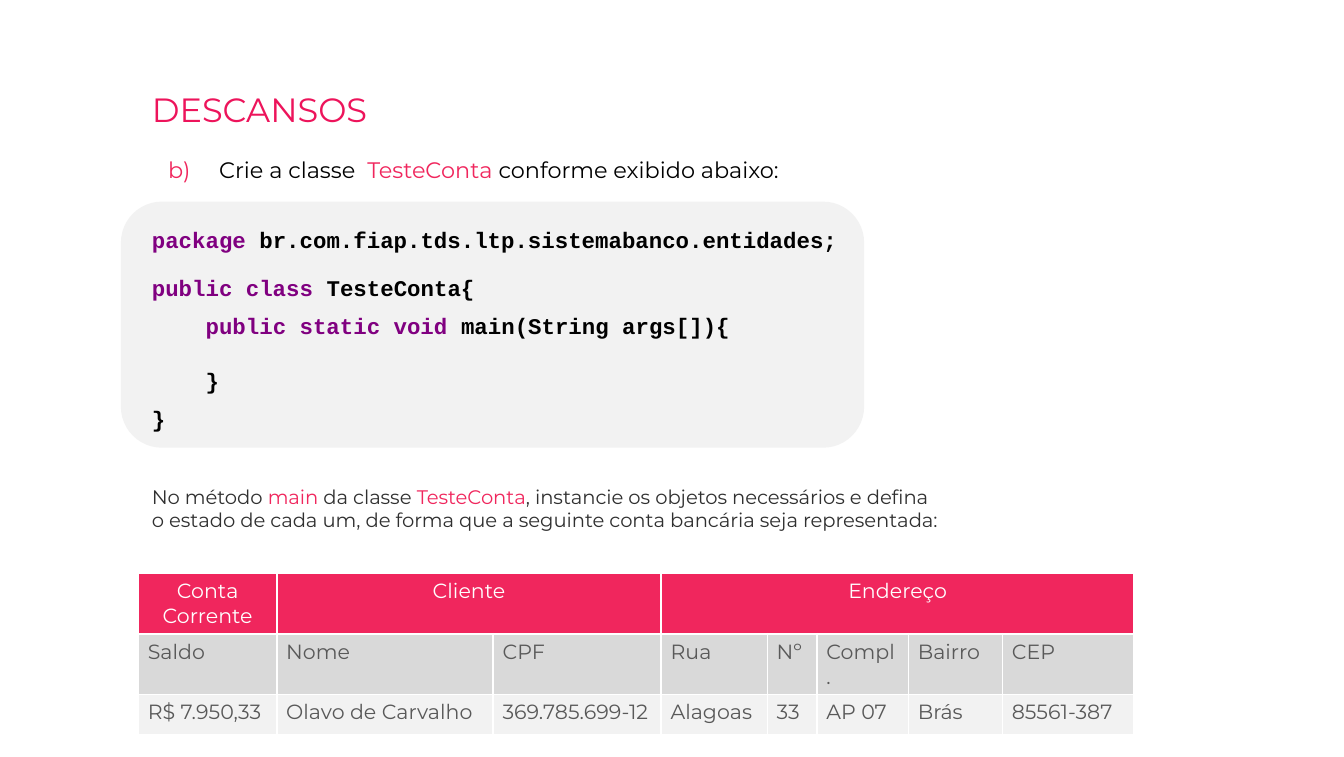
from dataclasses import dataclass
from typing import Optional

from lxml import etree
from pptx import Presentation
from pptx import util as u
from pptx.dml.color import RGBColor
from pptx.enum import shapes, text
from pptx.oxml import ns

HUES = {
    "pink": "F0265D", "title": "ED145B", "white": "FFFFFF", "black": "000000",
    "code": "800080", "body": "303030", "cell": "595959",
    "mid": "D9D9D9", "pale": "F2F2F2",
}
SANS, MONO = "Montserrat", "Courier New"
COLS = [1.03, 1.61, 1.25, 0.79, 0.37, 0.68, 0.7, 0.98]
ROWS = [0.44, 0.44, 0.3]


@dataclass
class Line:
    runs: list[tuple[str, str]]
    gap: float = 0
    font: str = MONO
    size: float = 12
    bold: bool = True
    mark: Optional[int] = None


@dataclass
class Row:
    cells: list[tuple[str, int]]
    fill: str
    ink: str
    align: text.PP_ALIGN = text.PP_ALIGN.LEFT


LINES = [
    Line([("Crie a classe  ", "black"), ("TesteConta ", "pink"),
          ("conforme exibido abaixo:", "black")], font=SANS, bold=False, mark=2),
    Line([("package ", "code"),
          ("br.com.fiap.tds.ltp.sistemabanco.entidades;", "black")], 23),
    Line([("public class ", "code"), ("TesteConta{", "black")], 11.5),
    Line([("    ", "black"), ("public static void ", "code"),
          ("main(String args[]){", "black")], 6),
    Line([("    }", "black")], 15),
    Line([("}", "black")], 6),
    Line([("No método ", "body"), ("main", "pink"), (" da classe ", "body"),
          ("TesteConta", "pink"),
          (", instancie os objetos necessários e defina o estado de cada um, "
           "de forma que a seguinte conta bancária seja representada:", "body")],
         28, SANS, 10.5, False),
]
TABLE = [
    Row([("Conta Corrente", 1), ("Cliente", 2), ("Endereço", 5)],
        "pink", "white", text.PP_ALIGN.CENTER),
    Row([(word, 1) for word in
         ("Saldo", "Nome", "CPF", "Rua", "Nº", "Compl.", "Bairro", "CEP")],
        "mid", "cell"),
    Row([(word, 1) for word in
         ("R$ 7.950,33", "Olavo de Carvalho", "369.785.699-12", "Alagoas",
          "33", "AP 07", "Brás", "85561-387")],
        "pale", "cell"),
]


def rgb(name: str) -> RGBColor:
    return RGBColor.from_string(HUES[name])


def place(shape, left: float, top: float, width: float, height: float) -> None:
    shape.left, shape.top = u.Inches(left), u.Inches(top)
    shape.width, shape.height = u.Inches(width), u.Inches(height)


def frame(shape):
    box = shape.text_frame
    box.word_wrap = True
    box.auto_size = text.MSO_AUTO_SIZE.NONE
    box.vertical_anchor = text.MSO_ANCHOR.TOP
    return box


def add_run(para, words: str, hue: str, size: float,
            face: str = SANS, bold: bool = False) -> None:
    run = para.add_run()
    run.text = words
    font = run.font
    font.name, font.size, font.bold = face, u.Pt(size), bold
    font.color.rgb = rgb(hue)


def add_mark(para, start: Optional[int]) -> None:
    props = para._p.get_or_add_pPr()
    if start is None:
        props.set("marL", "0")
        props.set("indent", "0")
        etree.SubElement(props, ns.qn("a:buNone"))
        return
    props.set("marL", str(u.Inches(0.5)))
    props.set("indent", str(u.Inches(-0.38)))
    tint = etree.SubElement(props, ns.qn("a:buClr"))
    etree.SubElement(tint, ns.qn("a:srgbClr"), val=HUES["pink"])
    etree.SubElement(props, ns.qn("a:buFont"), typeface=SANS)
    etree.SubElement(props, ns.qn("a:buAutoNum"),
                     type="alphaLcParenR", startAt=str(start))


def add_line(para, line: Line) -> None:
    listed = line.mark is not None
    para.level = 1 if listed else 0
    para.alignment = text.PP_ALIGN.JUSTIFY if listed else text.PP_ALIGN.LEFT
    para.line_spacing = 0.9 if listed else 1.0
    para.space_before = u.Pt(line.gap)
    add_mark(para, line.mark)
    for words, hue in line.runs:
        add_run(para, words, hue, line.size, line.font, line.bold)


def add_edges(cell) -> None:
    props = cell._tc.get_or_add_tcPr()
    for spot, side in enumerate(("a:lnL", "a:lnR", "a:lnT", "a:lnB")):
        edge = etree.Element(ns.qn(side), w=str(u.Pt(1)))
        fill = etree.SubElement(edge, ns.qn("a:solidFill"))
        etree.SubElement(fill, ns.qn("a:srgbClr"), val=HUES["white"])
        props.insert(spot, edge)


def add_row(grid, index: int, row: Row) -> None:
    for cell in grid.rows[index].cells:
        cell.fill.solid()
        cell.fill.fore_color.rgb = rgb(row.fill)
        cell.margin_left = cell.margin_right = u.Inches(0.07)
        cell.margin_top = cell.margin_bottom = u.Inches(0.04)
        add_edges(cell)
    col = 0
    for words, span in row.cells:
        cell = grid.cell(index, col)
        if span > 1:
            cell.merge(grid.cell(index, col + span - 1))
        para = cell.text_frame.paragraphs[0]
        para.alignment = row.align
        add_run(para, words, row.ink, 11)
        col += span


def main() -> None:
    deck = Presentation()
    deck.slide_width, deck.slide_height = u.Inches(10), u.Inches(5.63)
    slide = deck.slides.add_slide(deck.slide_layouts[1])

    panel = slide.shapes.add_shape(
        shapes.MSO_SHAPE.ROUNDED_RECTANGLE,
        u.Inches(0.9), u.Inches(1.5), u.Inches(5.53), u.Inches(1.83))
    panel.shadow.inherit = False
    panel.fill.solid()
    panel.fill.fore_color.rgb = rgb("pale")
    panel.line.fill.background()
    slide.shapes._spTree.insert(2, panel._element)

    title = slide.shapes.title
    place(title, 1.03, 0.61, 4.36, 0.4)
    para = frame(title).paragraphs[0]
    para.alignment = text.PP_ALIGN.LEFT
    add_run(para, "DESCANSOS", "title", 18)

    body = slide.placeholders[1]
    place(body, 1.03, 1.14, 6.09, 3.37)
    box = frame(body)
    box.margin_top = u.Inches(0.04)
    for index, line in enumerate(LINES):
        add_line(box.add_paragraph() if index else box.paragraphs[0], line)

    grid = slide.shapes.add_table(
        len(ROWS), len(COLS), u.Inches(1.03), u.Inches(4.26),
        u.Inches(sum(COLS)), u.Inches(sum(ROWS))).table
    for col, width in zip(grid.columns, COLS):
        col.width = u.Inches(width)
    for index, (height, row) in enumerate(zip(ROWS, TABLE)):
        grid.rows[index].height = u.Inches(height)
        add_row(grid, index, row)

    deck.save("out.pptx")


if __name__ == "__main__":
    main()
